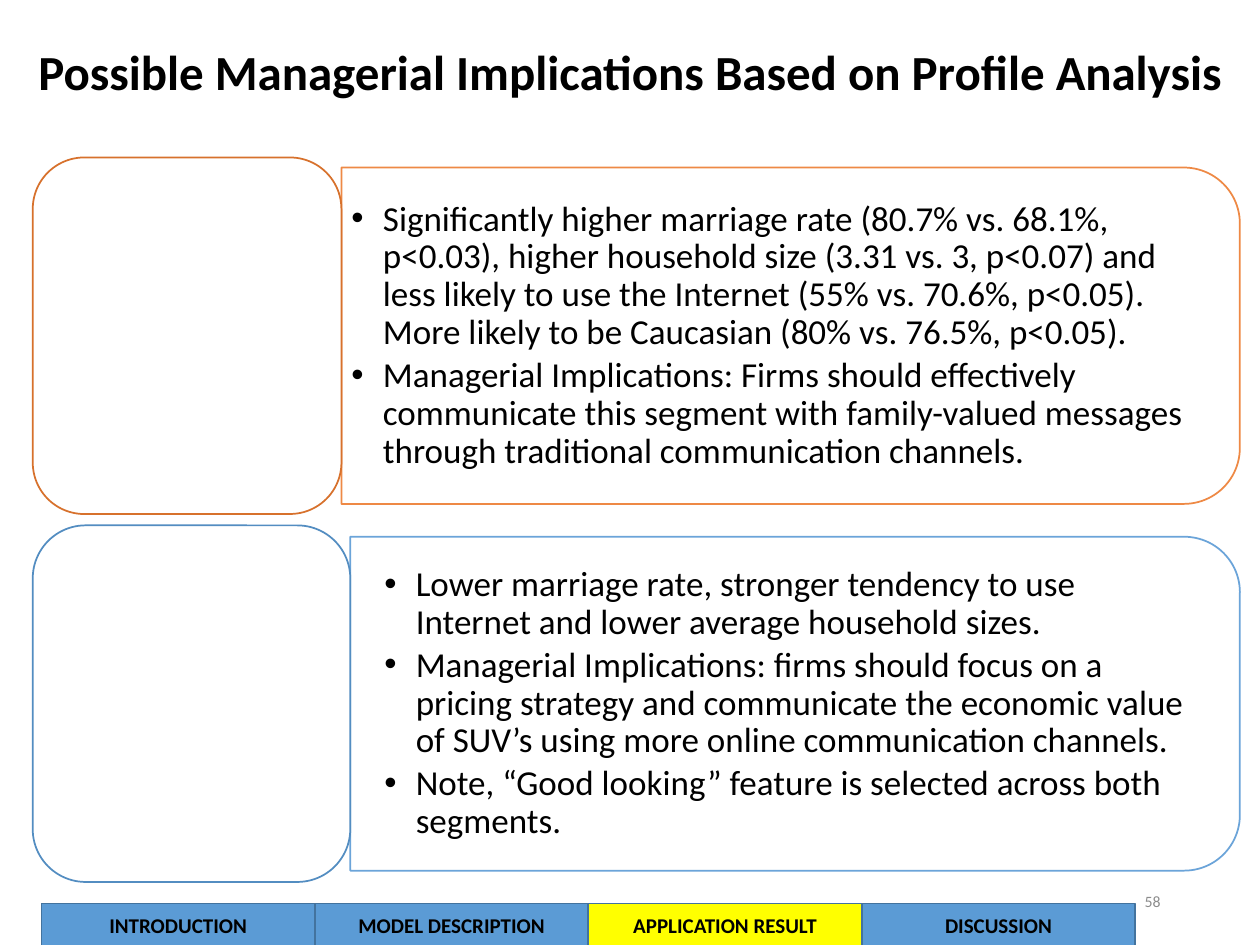
from lxml.etree import SubElement
from pptx import Presentation
from pptx.dml.color import RGBColor
from pptx.enum.shapes import MSO_SHAPE
from pptx.enum.text import MSO_ANCHOR, MSO_AUTO_SIZE, PP_ALIGN
from pptx.oxml.ns import qn
from pptx.util import Inches, Pt

WHITE = RGBColor(0xFF, 0xFF, 0xFF)
BLACK = RGBColor(0x00, 0x00, 0x00)
GRAY = RGBColor(0x8C, 0x8C, 0x8C)
ORANGE = RGBColor(0xED, 0x7D, 0x31)
DARK_ORANGE = RGBColor(0xD7, 0x71, 0x2C)
BLUE = RGBColor(0x5B, 0x9B, 0xD5)
MID_BLUE = RGBColor(0x53, 0x8D, 0xC1)
DARK_BLUE = RGBColor(0x43, 0x73, 0x9E)
YELLOW = RGBColor(0xFF, 0xFF, 0x00)
FONT = "Calibri"

TITLE = "Possible Managerial Implications Based on Profile Analysis"
PAGE_NUMBER = "58"
SEGMENTS = [
    {
        "bullets": [
            "Significantly higher marriage rate (80.7% vs. 68.1%, p<0.03), higher household size "
            "(3.31 vs. 3, p<0.07) and less likely to use the Internet (55% vs. 70.6%, p<0.05). "
            "More likely to be Caucasian (80% vs. 76.5%, p<0.05).",
            "Managerial Implications: Firms should effectively communicate this segment with "
            "family-valued messages through traditional communication channels.",
        ],
        "label_width": 2.45, "panel_height": 2.67, "text_width": 7, "insets": (0.08, 0.04),
        "label_line": DARK_ORANGE, "panel_line": ORANGE,
    },
    {
        "bullets": [
            "Lower marriage rate, stronger tendency to use Internet and lower average household sizes.",
            "Managerial Implications: firms should focus on a pricing strategy and communicate the "
            "economic value of SUV’s using more online communication channels.",
            "Note, “Good looking” feature is selected across both segments.",
        ],
        "label_width": 2.52, "panel_height": 2.65, "text_width": 6.93, "insets": (0.27, 0.14),
        "label_line": MID_BLUE, "panel_line": BLUE,
    },
]
SECTIONS = ["INTRODUCTION", "MODEL DESCRIPTION", "APPLICATION RESULT", "DISCUSSION"]
CURRENT_SECTION = "APPLICATION RESULT"

SEGMENT_LEFT, SEGMENT_RIGHT = 0.26, 9.84
SEGMENT_TOP, SEGMENT_HEIGHT, SEGMENT_STEP = 1.25, 2.83, 2.92
SECTION_LEFT, SECTION_TOP, SECTION_WIDTH, SECTION_HEIGHT = 0.33, 7.17, 2.17, 0.34


def format_text(frame, size, color, bold=False, align=None):
    frame.word_wrap = True
    frame.auto_size = MSO_AUTO_SIZE.NONE
    frame.vertical_anchor = MSO_ANCHOR.MIDDLE
    for para in frame.paragraphs:
        para.alignment = align
        for span in para.runs:
            span.font.name = FONT
            span.font.size = Pt(size)
            span.font.bold = bold
            span.font.color.rgb = color


def add_box(shapes, kind, left, top, width, height, fill, line):
    box = shapes.add_shape(kind, Inches(left), Inches(top), Inches(width), Inches(height))
    box.shadow.inherit = False
    box.fill.solid()
    box.fill.fore_color.rgb = fill
    box.line.color.rgb = line
    box.line.width = Pt(1)
    return box


def add_panel(shapes, left, middle, width, height, line):
    center = left + width / 2
    panel = add_box(shapes, MSO_SHAPE.ROUND_2_SAME_RECTANGLE, center - height / 2,
                    middle - width / 2, height, width, WHITE, line)
    panel.rotation = 90
    for color in panel._element.spPr.iter(qn("a:srgbClr")):
        SubElement(color, qn("a:alpha"), val="90000")


def add_bullets(shapes, left, middle, width, height, insets, bullets):
    box = shapes.add_textbox(Inches(left), Inches(middle - height / 2), Inches(width), Inches(height))
    frame = box.text_frame
    frame.margin_left = frame.margin_right = Inches(insets[0])
    frame.margin_top = frame.margin_bottom = Inches(insets[1])
    frame.text = "\n".join(bullets)
    for para in frame.paragraphs:
        properties = para._p.get_or_add_pPr()
        properties.set("marL", str(Inches(0.25)))
        properties.set("indent", str(-Inches(0.25)))
        SubElement(properties, qn("a:buFont"), typeface="Arial")
        SubElement(properties, qn("a:buChar"), char="•")
        para.level = 1
        para.line_spacing = 0.9
        para.space_after = Pt(3)
    format_text(frame, 20, BLACK, align=PP_ALIGN.LEFT)


def add_segment(page, row, segment):
    shapes = page.shapes.add_group_shape().shapes
    top = SEGMENT_TOP + row * SEGMENT_STEP
    middle = top + SEGMENT_HEIGHT / 2
    left = SEGMENT_LEFT + segment["label_width"]
    height = segment["panel_height"]
    add_panel(shapes, left, middle, SEGMENT_RIGHT - left, height, segment["panel_line"])
    add_bullets(shapes, left, middle, segment["text_width"], height - 0.26,
                segment["insets"], segment["bullets"])
    add_box(shapes, MSO_SHAPE.ROUNDED_RECTANGLE, SEGMENT_LEFT, top, segment["label_width"],
            SEGMENT_HEIGHT, WHITE, segment["label_line"])


def main():
    deck = Presentation()
    deck.slide_width, deck.slide_height = Inches(10), Inches(7.5)
    page = deck.slides.add_slide(deck.slide_layouts[5])

    title = page.shapes.title
    title.left, title.top, title.width, title.height = Inches(0), Inches(0.08), Inches(10), Inches(1.03)
    title.fill.solid()
    title.fill.fore_color.rgb = WHITE
    title.text_frame.text = TITLE
    title.text_frame.paragraphs[0].line_spacing = 0.9
    format_text(title.text_frame, 28, BLACK, True, PP_ALIGN.CENTER)

    for row, segment in enumerate(SEGMENTS):
        add_segment(page, row, segment)

    number = page.shapes.add_textbox(Inches(7.06), Inches(6.95), Inches(2.25), Inches(0.4))
    number.text_frame.text = PAGE_NUMBER
    format_text(number.text_frame, 9, GRAY, align=PP_ALIGN.RIGHT)

    for column, name in enumerate(SECTIONS):
        fill = YELLOW if name == CURRENT_SECTION else BLUE
        tab = add_box(page.shapes, MSO_SHAPE.RECTANGLE, SECTION_LEFT + column * SECTION_WIDTH,
                      SECTION_TOP, SECTION_WIDTH, SECTION_HEIGHT, fill, DARK_BLUE)
        tab.text_frame.text = name
        format_text(tab.text_frame, 12, BLACK, True, PP_ALIGN.CENTER)

    deck.save("out.pptx")


if __name__ == "__main__":
    main()
